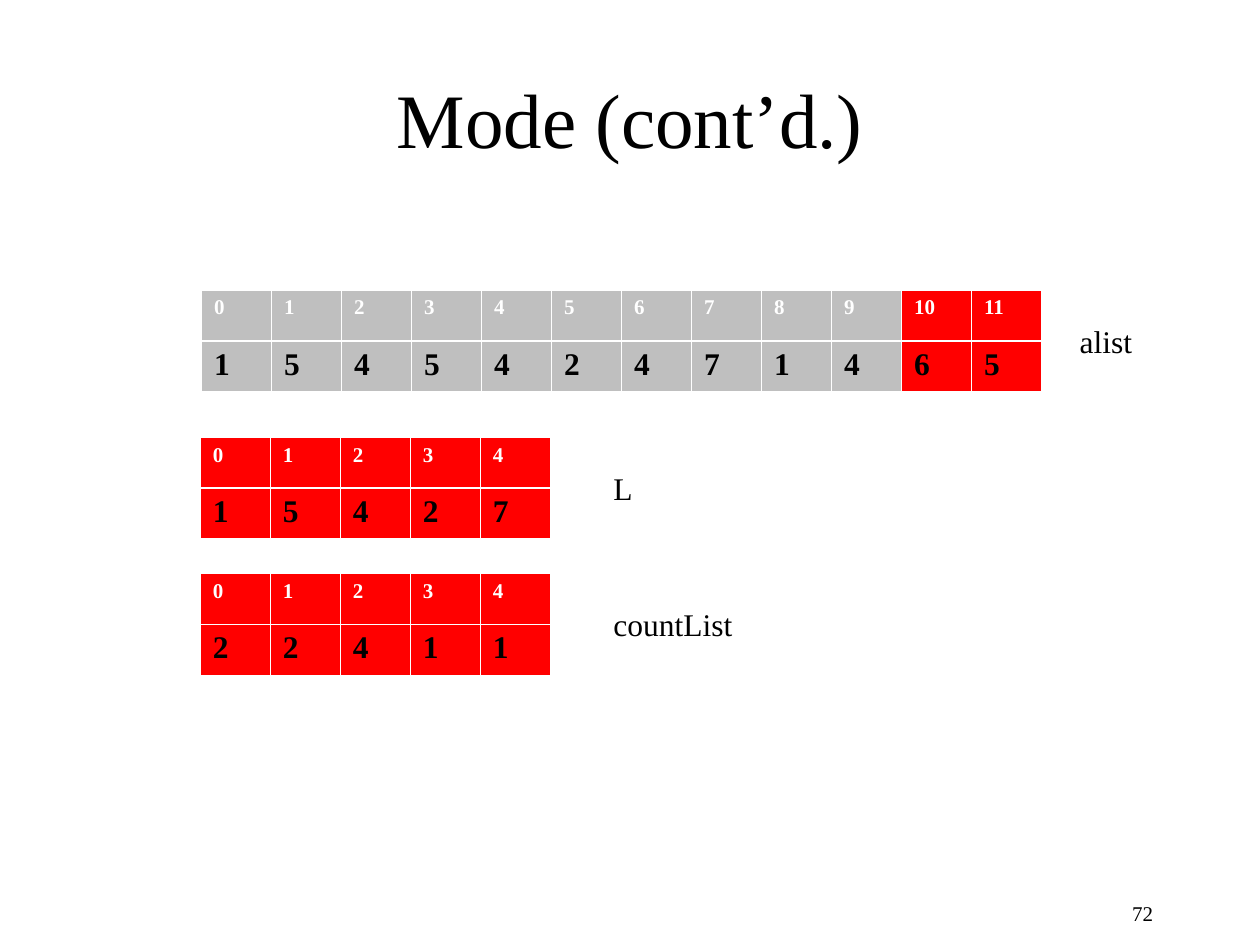
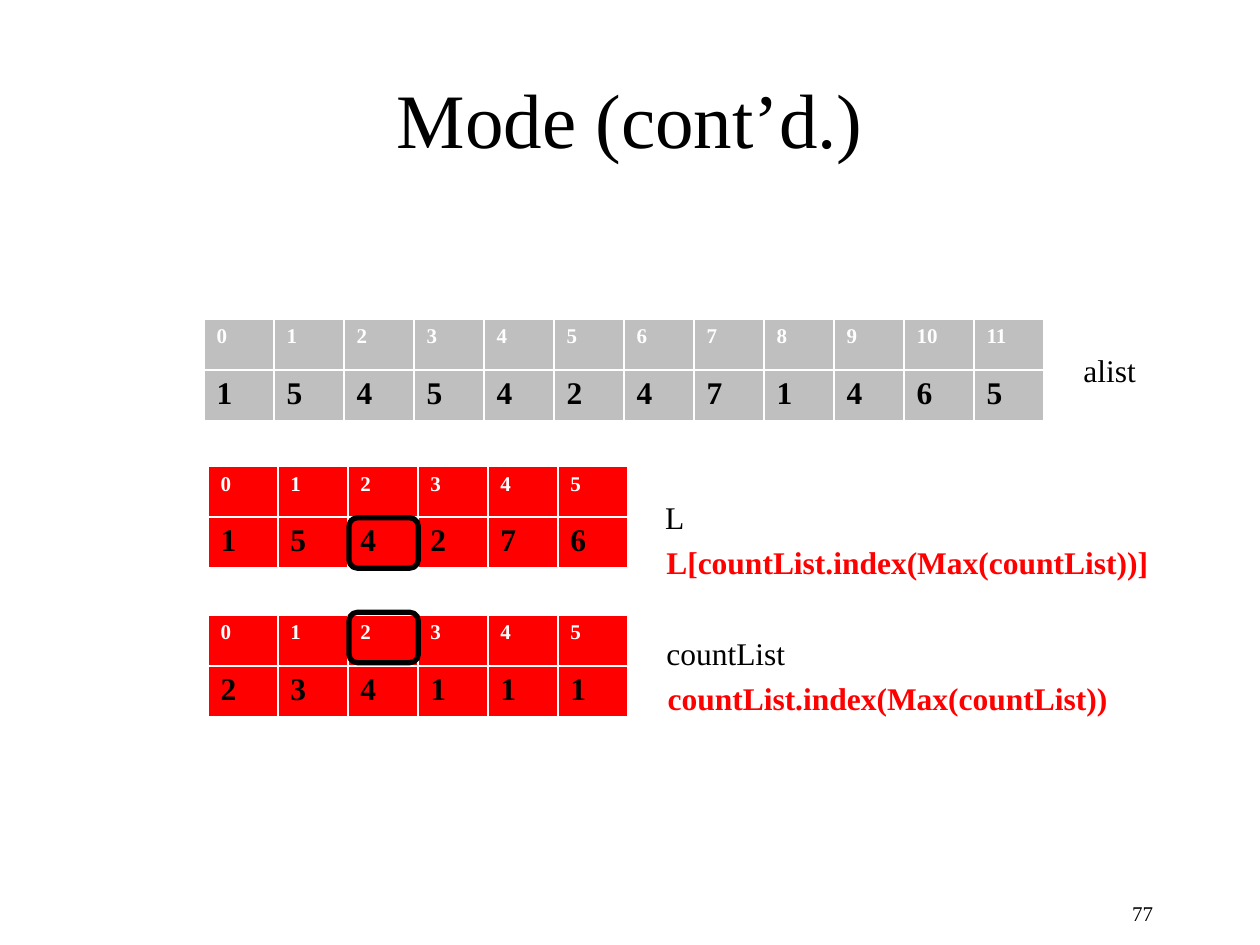
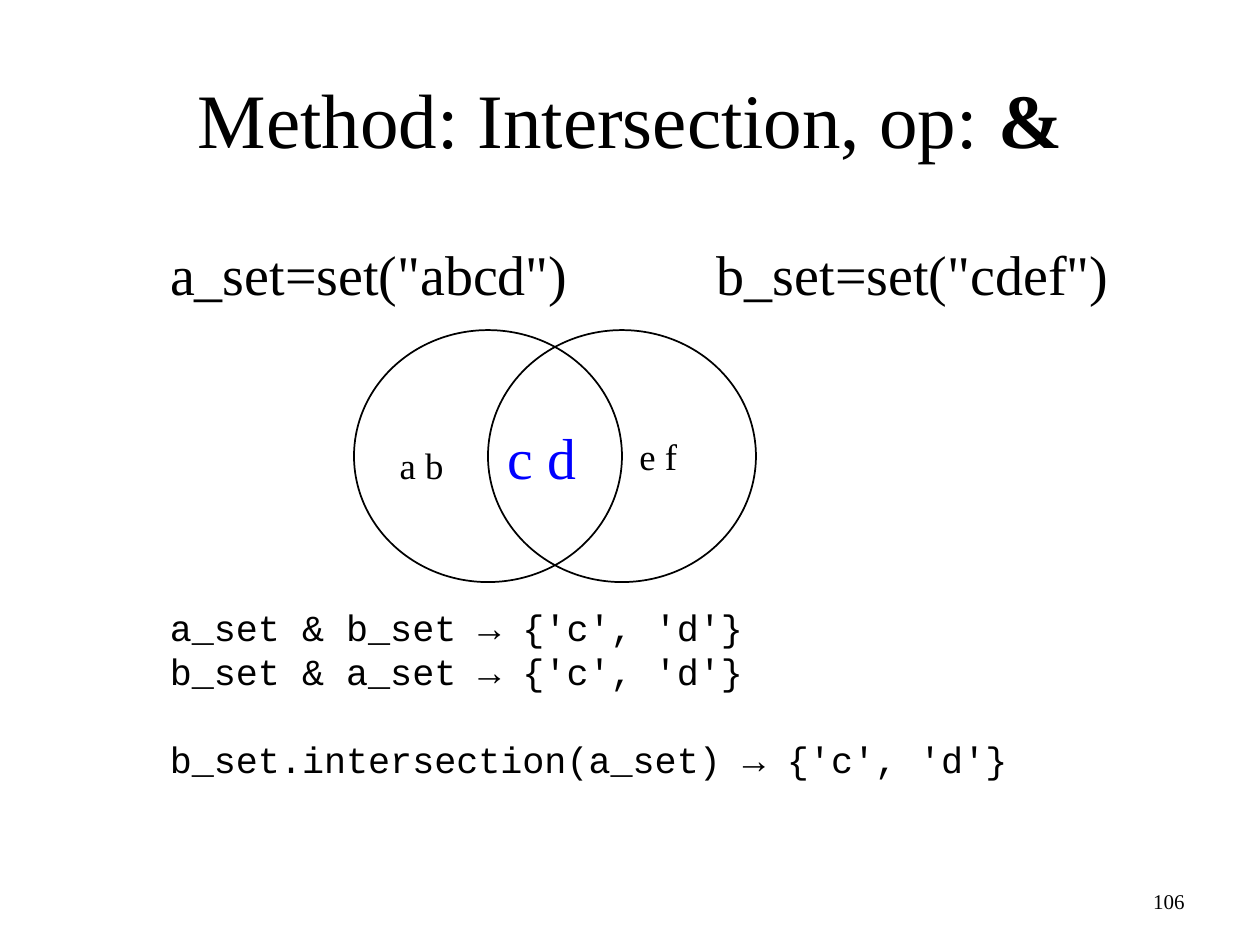
"""Build three lecture slides on list modes and set intersection."""
from collections import namedtuple
from dataclasses import dataclass

from lxml import etree
from pptx import Presentation
from pptx import util as u
from pptx.dml.color import RGBColor
from pptx.enum import shapes, text
from pptx.oxml.ns import qn

Box = namedtuple("Box", "left top width height")


@dataclass(frozen=True)
class Theme:
    """Colours, fonts, sizes and shared boxes."""

    black: str = "000000"
    white: str = "FFFFFF"
    grey: str = "BFBFBF"
    red: str = "FF0000"
    blue: str = "0000FF"
    serif: str = "Times New Roman"
    mono: str = "Courier New"
    title: int = 44
    overlap: int = 33
    body: int = 32
    code: int = 21
    label: int = 18
    small: int = 12
    cell_width: float = 5 / 9
    row_height: float = 0.405
    title_box: Box = Box(0.75, 0.31, 8.5, 1.25)
    number_box: Box = Box(7.17, 7, 2.08, 0.5)


THEME = Theme()


def set_all(target, values):
    """Set every attribute named in the dict of values."""
    for name, value in values.items():
        setattr(target, name, value)


def lengths(box):
    """Convert the sides of a box to lengths."""
    return [u.Inches(side) for side in box]


def add_run(paragraph, words, size, color=THEME.black, bold=False, font=THEME.serif):
    """Append formatted words to a paragraph."""
    run = paragraph.add_run()
    run.text = words
    set_all(run.font, {"name": font, "size": u.Pt(size), "bold": bold})
    run.font.color.rgb = RGBColor.from_string(color)


def add_tab_stop(paragraph, position):
    """Give a paragraph one left tab stop."""
    stops = etree.SubElement(paragraph._p.get_or_add_pPr(), qn("a:tabLst"))
    etree.SubElement(stops, qn("a:tab"), pos=str(u.Inches(position)), algn="l")


def add_text(slide, box, align=text.PP_ALIGN.LEFT, anchor=text.MSO_ANCHOR.TOP):
    """Add a wrapping text box and return its frame."""
    frame = slide.shapes.add_textbox(*lengths(box)).text_frame
    set_all(frame, {"word_wrap": True, "vertical_anchor": anchor})
    frame.paragraphs[0].alignment = align
    return frame


def add_outline(slide, kind, box, width):
    """Add an unfilled shape with a black line."""
    shape = slide.shapes.add_shape(kind, *lengths(box))
    shape.shadow.inherit = False
    shape.fill.background()
    shape.line.color.rgb = RGBColor.from_string(THEME.black)
    shape.line.width = u.Pt(width)
    return shape


def add_base(presentation, title, number, operator="", number_box=THEME.number_box):
    """Add a blank slide with its title and number."""
    slide = presentation.slides.add_slide(presentation.slide_layouts[6])
    middle = text.MSO_ANCHOR.MIDDLE
    heading = add_text(slide, THEME.title_box, text.PP_ALIGN.CENTER, middle).paragraphs[0]
    add_run(heading, title, THEME.title)
    if operator:
        add_run(heading, operator, THEME.title, bold=True)
    footer = add_text(slide, number_box, text.PP_ALIGN.RIGHT, middle)
    add_run(footer.paragraphs[0], str(number), THEME.small)
    return slide


def add_array(slide, left, top, values, visited=0):
    """Draw a list as indexes over values, with visited cells in grey."""
    box = Box(left, top, THEME.cell_width * len(values), 2 * THEME.row_height)
    table = slide.shapes.add_table(2, len(values), *lengths(box)).table
    for row in table.rows:
        row.height = u.Inches(THEME.row_height)
    for index, value in enumerate(values):
        table.columns[index].width = u.Inches(THEME.cell_width)
        entries = ((index, THEME.small, THEME.white), (value, THEME.label, THEME.black))
        for row, (entry, size, color) in enumerate(entries):
            cell = table.cell(row, index)
            cell.fill.solid()
            fill = THEME.grey if index < visited else THEME.red
            cell.fill.fore_color.rgb = RGBColor.from_string(fill)
            add_run(cell.text_frame.paragraphs[0], str(entry), size, color, True)


def add_label(slide, left, top, width, words, **style):
    """Write a one-line label."""
    frame = add_text(slide, Box(left, top, width, 0.4))
    add_run(frame.paragraphs[0], words, THEME.label, **style)


def add_mode_slide(presentation, number, arrays, labels):
    """Add a slide of labelled arrays."""
    slide = add_base(presentation, "Mode (cont’d.)", number)
    for array in arrays:
        add_array(slide, *array)
    for label in labels:
        add_label(slide, *label)
    return slide


def add_mode_result(slide, left, tops):
    """Ring the most frequent value and its index, with their expressions."""
    for top in tops:
        ring = Box(left, top, 0.55, 0.4)
        add_outline(slide, shapes.MSO_SHAPE.ROUNDED_RECTANGLE, ring, 3)
    expressions = (
        (5.2, 5.34, 3.74, "countList.index(Max(countList))"),
        (5.19, 4.26, 4.64, "L[countList.index(Max(countList))]"),
    )
    for expression in expressions:
        add_label(slide, *expression, color=THEME.red, bold=True)


def add_venn(slide, box):
    """Draw two overlapping sets and their members."""
    diameter = box.width * 2 / 3
    sets = (
        (box.width - diameter, 0.89, (("e f", THEME.code, THEME.black),)),
        (0, 0.05, (("a b\t", THEME.code, THEME.black), ("c d", THEME.overlap, THEME.blue))),
    )
    for offset, inset, members in sets:
        circle_box = Box(box.left + offset, box.top, diameter, box.height)
        circle = add_outline(slide, shapes.MSO_SHAPE.OVAL, circle_box, 1)
        frame = circle.text_frame
        set_all(frame, {"word_wrap": True, "vertical_anchor": text.MSO_ANCHOR.MIDDLE,
                        "margin_left": u.Inches(inset), "margin_right": 0})
        paragraph = frame.paragraphs[0]
        paragraph.alignment = text.PP_ALIGN.LEFT
        add_tab_stop(paragraph, 0.86)
        for member in members:
            add_run(paragraph, *member)


def add_definitions(slide, box):
    """Write the two set definitions on one line."""
    frame = add_text(slide, box)
    set_all(frame, {"margin_left": u.Inches(0.45), "margin_right": 0,
                    "margin_top": u.Inches(0.65)})
    add_tab_stop(frame.paragraphs[0], 4.34)
    add_run(frame.paragraphs[0], 'a_set=set("abcd")\tb_set=set("cdef")', THEME.body)


def add_code(slide, box):
    """Write the intersection expressions, with a gap before the method."""
    frame = add_text(slide, box)
    expressions = ("a_set & b_set", "b_set & a_set", "b_set.intersection(a_set)")
    for index, expression in enumerate(expressions):
        paragraph = frame.add_paragraph() if index else frame.paragraphs[0]
        add_run(paragraph, f"{expression} → {{'c', 'd'}}", THEME.code, font=THEME.mono)
    paragraph.space_before = u.Pt(25)


def add_intersection_slide(presentation):
    """Add the set intersection slide."""
    slide = add_base(presentation, "Method: Intersection, op: ", 106, "&",
                     Box(7.17, 6.95, 2.33, 0.4))
    add_definitions(slide, Box(0.9, 1.25, 8.02, 5.83))
    add_code(slide, Box(1.25, 4.75, 7.5, 1.87))
    add_venn(slide, Box(2.81, 2.62, 3.19, 2))


def main():
    """Build and save the presentation."""
    presentation = Presentation()
    set_all(presentation, {"slide_width": u.Inches(10), "slide_height": u.Inches(7.5)})
    numbers = (1, 5, 4, 5, 4, 2, 4, 7, 1, 4, 6, 5)
    add_mode_slide(
        presentation, 72,
        ((1.6, 2.3, numbers, 10), (1.59, 3.47, (1, 5, 4, 2, 7)), (1.59, 4.55, (2, 2, 4, 1, 1))),
        ((8.47, 2.51, 0.77, "alist"), (4.77, 3.67, 0.77, "L"), (4.77, 4.75, 1.18, "countList")),
    )
    result = add_mode_slide(
        presentation, 77,
        ((1.62, 2.53, numbers, 12), (1.65, 3.7, (1, 5, 4, 2, 7, 6)),
         (1.65, 4.88, (2, 3, 4, 1, 1, 1))),
        ((8.5, 2.74, 0.77, "alist"), (5.18, 3.9, 0.77, "L"), (5.19, 4.98, 1.18, "countList")),
    )
    add_mode_result(result, 2.77, (4.86, 4.11))
    add_intersection_slide(presentation)
    presentation.save("out.pptx")


if __name__ == "__main__":
    main()
